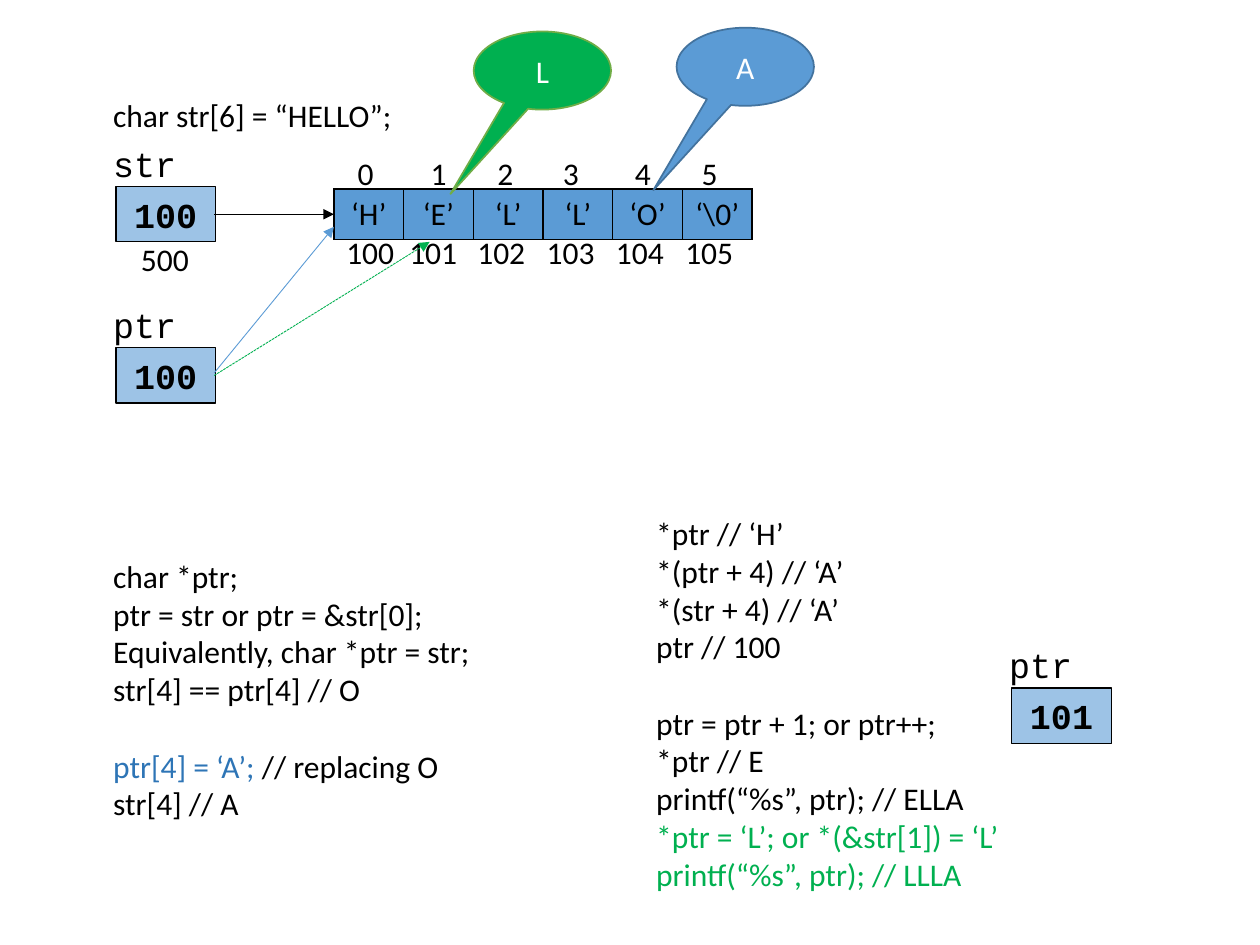
from lxml import etree
from pptx import Presentation
from pptx import util as u
from pptx.dml.color import RGBColor
from pptx.enum import dml, shapes, text
from pptx.oxml import ns

HUES = {"ink": "000000", "white": "FFFFFF", "pale": "9DC3E6", "blue": "5B9BD5",
        "edge": "43739E", "deep": "2E75B6", "green": "00B050", "rim": "70AD47"}


def hue(name):
    """Return the named colour."""
    return RGBColor.from_string(HUES[name])


def add(parent, tag, **attrs):
    """Append a drawing element to a parent."""
    return etree.SubElement(parent, ns.qn(tag), attrs)


def style(para, size=18, face="Calibri", color="ink", bold=False, mid=False):
    """Format one paragraph."""
    font = para.font
    font.size, font.name, font.bold = u.Pt(size), face, bold
    font.color.rgb = hue(color)
    para.alignment = text.PP_ALIGN.CENTER if mid else text.PP_ALIGN.LEFT


def lines(slide, box, rows, **look):
    """Place a text box of (text, blank lines before, colour) rows."""
    frame = slide.shapes.add_textbox(*map(u.Inches, box)).text_frame
    frame.word_wrap = True
    for i, (words, gap, color) in enumerate(rows):
        para = frame.add_paragraph() if i else frame.paragraphs[0]
        para.text = words
        para.space_before = u.Pt(22 * gap)
        style(para, color=color, **look)
    return frame


def solid(slide, kind, box, fill, line, width, words, **look):
    """Place a filled shape with centred text."""
    shape = slide.shapes.add_shape(kind, *map(u.Inches, box))
    shape.shadow.inherit = False
    shape.fill.solid()
    shape.fill.fore_color.rgb = hue(fill)
    shape.line.color.rgb = hue(line)
    shape.line.width = u.Pt(width)
    para = shape.text_frame.paragraphs[0]
    para.text = words
    style(para, mid=True, **look)
    return shape


def node(slide, left, top, name, value):
    """Place a variable's name above its value box."""
    lines(slide, (left, top, 1.51, 0.43), [(name, 0, "ink")],
          size=20, face="Courier New")
    solid(slide, shapes.MSO_SHAPE.RECTANGLE, (left + 0.12, top + 0.4, 0.79, 0.44),
          "pale", "ink", 0.75, value, size=20, face="Courier New", bold=True)


def bubble(slide, left, top, fill, line, words):
    """Place a callout that points down and left."""
    shape = solid(slide, shapes.MSO_SHAPE.OVAL_CALLOUT, (left, top, 1.09, 0.62),
                  fill, line, 1, words, color="white")
    shape.adjustments[0], shape.adjustments[1] = -0.67, 1.58


def arrow(slide, start, end, color, dash=None):
    """Draw a thin arrow."""
    line = slide.shapes.add_connector(
        shapes.MSO_CONNECTOR.STRAIGHT, *map(u.Inches, start + end))
    line.line.color.rgb = hue(color)
    line.line.width = u.Pt(0.5)
    if dash:
        line.line.dash_style = dash
    add(line.line._get_or_add_ln(), "a:tailEnd", type="triangle")
    add(line._element.spPr, "a:effectLst")


def scale(slide, box, labels, stops):
    """Place a row of labels on tab stops."""
    para = lines(slide, box, [("\t".join(labels), 0, "ink")]).paragraphs[0]
    props = para._p.get_or_add_pPr()
    tabs = etree.Element(ns.qn("a:tabLst"))
    for stop in stops:
        add(tabs, "a:tab", pos=str(u.Inches(stop)), algn="l")
    props.find(ns.qn("a:defRPr")).addprevious(tabs)


def array(slide, box, chars):
    """Place the character array with its indexes and addresses."""
    left, top, width, height = box
    count = len(chars)
    grid = slide.shapes.add_table(1, count, *map(u.Inches, box)).table
    grid.first_row = grid.horz_banding = False
    for col, char in enumerate(chars):
        grid.columns[col].width = u.Inches(width / count)
        cell = grid.cell(0, col)
        cell.text = f"‘{char}’"
        cell.vertical_anchor = text.MSO_ANCHOR.MIDDLE
        style(cell.text_frame.paragraphs[0], mid=True)
        props = cell._tc.get_or_add_tcPr()
        for side in "LRTB":
            edge = add(props, f"a:ln{side}", w=str(u.Pt(1)))
            add(add(edge, "a:solidFill"), "a:srgbClr", val=HUES["ink"])
        cell.fill.solid()
        cell.fill.fore_color.rgb = hue("blue")
    scale(slide, (left, top + 0.3, width, height),
          [str(100 + i) for i in range(count)], [0.5, 1.04, 1.59, 2.14, 2.69])
    scale(slide, (left + 0.09, top - 0.33, width - 0.15, height),
          [str(i) for i in range(count)], [0.58, 1.11, 1.63, 2.2, 2.73])


def memory(slide):
    """Draw the variables, the array and the pointers between them."""
    node(slide, 0.8, 1.08, "str", "100")
    array(slide, (2.65, 1.5, 3.32, 0.4), ["H", "E", "L", "L", "O", "\\0"])
    arrow(slide, (1.7, 1.7), (2.65, 1.7), "ink")
    node(slide, 0.8, 2.36, "ptr", "100")
    lines(slide, (1.02, 1.86, 0.62, 0.4), [("500", 0, "ink")])
    arrow(slide, (1.7, 2.96), (2.65, 1.8), "blue")
    bubble(slide, 5.37, 0.22, "blue", "edge", "A")
    node(slide, 7.91, 5.06, "ptr", "101")
    bubble(slide, 3.76, 0.25, "green", "rim", "L")
    arrow(slide, (1.7, 2.98), (3.41, 1.92), "green", dml.MSO_LINE.SQUARE_DOT)


def code(slide):
    """Place the two columns of code."""
    left = lines(slide, (0.8, 0.71, 3.06, 6.46), [
        ("char str[6] = “HELLO”;", 0, "ink"),
        ("char *ptr;", 11, "ink"),
        ("ptr = str or ptr = &str[0];", 0, "ink"),
        ("Equivalently, char *ptr = str;", 0, "ink"),
        ("str[4] == ptr[4] // O", 0, "ink"),
        ("ptr[4] = ‘A’; ", 1, "ink"),
        ("str[4] // A", 0, "ink")])
    swap = left.paragraphs[5]
    swap.runs[0].font.color.rgb = hue("deep")
    swap.add_run().text = "// replacing O"
    lines(slide, (5.11, 4.03, 2.95, 3.13), [
        ("*ptr // ‘H’", 0, "ink"),
        ("*(ptr + 4) // ‘A’", 0, "ink"),
        ("*(str + 4) // ‘A’", 0, "ink"),
        ("ptr // 100", 0, "ink"),
        ("ptr = ptr + 1; or ptr++;", 1, "ink"),
        ("*ptr // E", 0, "ink"),
        ("printf(“%s”, ptr); // ELLA", 0, "ink"),
        ("*ptr = ‘L’; or *(&str[1]) = ‘L’", 0, "green"),
        ("printf(“%s”, ptr); // LLLA", 0, "green")])


def main():
    """Build and save the slide."""
    deck = Presentation()
    deck.slide_width, deck.slide_height = u.Inches(10), u.Inches(7.5)
    slide = deck.slides.add_slide(deck.slide_layouts[6])
    memory(slide)
    code(slide)
    deck.save("out.pptx")


if __name__ == "__main__":
    main()
